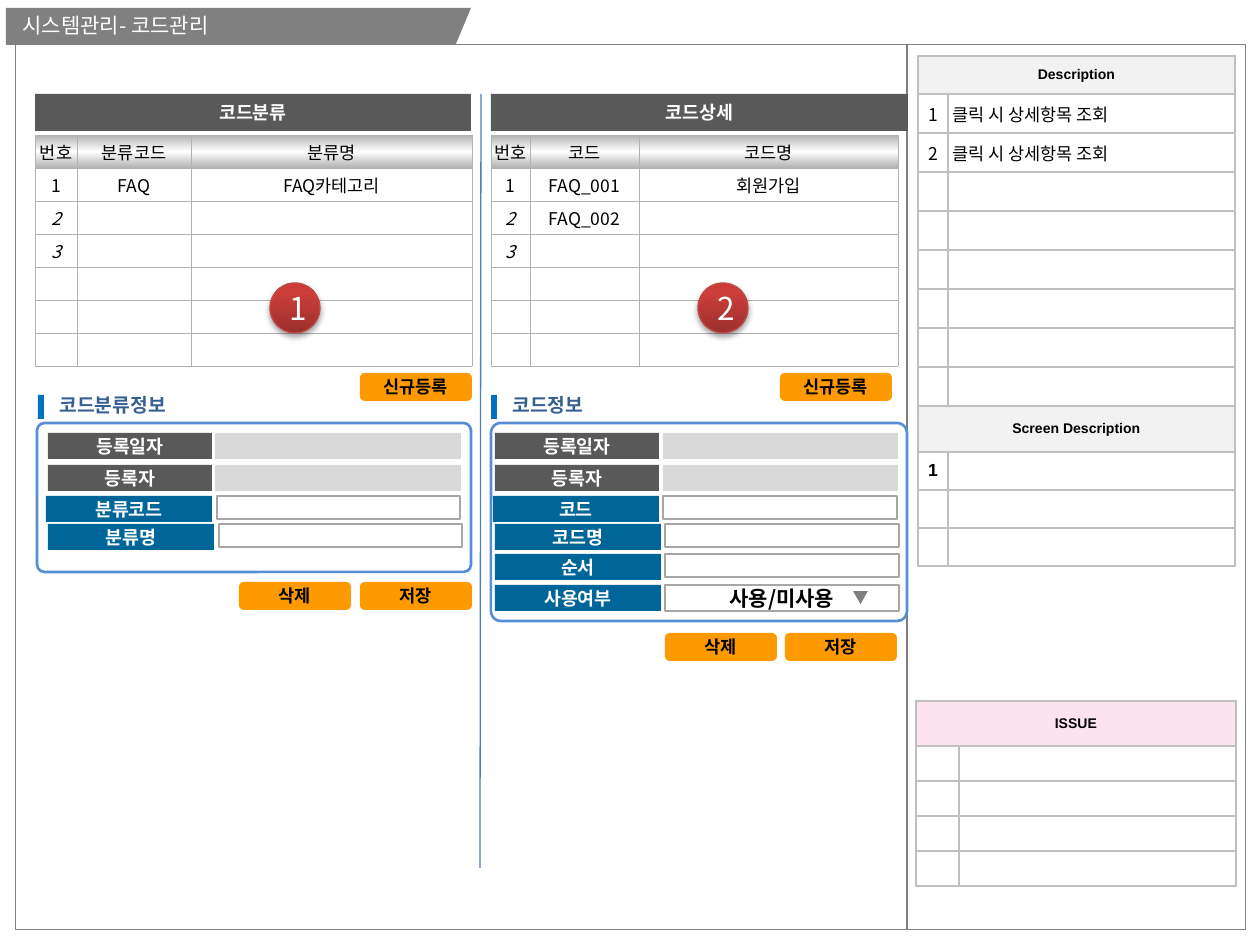
from lxml import etree
from pptx import Presentation
from pptx.dml.color import RGBColor
from pptx.enum.shapes import MSO_CONNECTOR, MSO_SHAPE
from pptx.enum.text import MSO_ANCHOR, MSO_AUTO_SIZE, PP_ALIGN
from pptx.oxml.ns import qn
from pptx.util import Pt

RECT, ROUND = MSO_SHAPE.RECTANGLE, MSO_SHAPE.ROUNDED_RECTANGLE
OVAL, TRIANGLE = MSO_SHAPE.OVAL, MSO_SHAPE.ISOSCELES_TRIANGLE
STRAIGHT, MIDDLE = MSO_CONNECTOR.STRAIGHT, MSO_ANCHOR.MIDDLE
LEFT, CENTER = PP_ALIGN.LEFT, PP_ALIGN.CENTER
PX = 914400 // 126


class Theme:
    korean, latin = "Noto Sans CJK KR", "Arial"
    white, black, gray = "FFFFFF", "000000", "808080"
    dark, readonly, editable = "595959", "D9D9D9", "006699"
    button, marker, heading = "FF9900", "0070C0", "376092"
    outline, divider, field_line = "558ED5", "4B7EBC", "A6A6A6"
    grid, side_grid, side_head, issue_head = "B2B2B2", "C0C0C0", "F2F2F2", "FDE3EF"
    metal = [(0, "B2B2B2"), (50, "FFFFFF"), (100, "B2B2B2")]
    badge, badge_line = [(0, "9C2F2D"), (80, "CB3E3A"), (100, "CE3B37")], "BF4C48"
    small, body, label, section, large, number = 8, 10, 10.5, 11, 12, 18


TITLE = "시스템관리- 코드관리"
PANELS = [
    dict(x=35, title="코드분류", title_width=436, columns=[42, 114, 281],
         rows=[["번호", "분류코드", "분류명"], ["1", "FAQ", "FAQ카테고리"], ["2"], ["3"]],
         section="코드분류정보", section_width=142, marker_x=38,
         card=(37, 423, 434, 149), label_x=46, readonly_x=48,
         field_x=217, readonly_field=(215, 246), field_width=243,
         fields=["분류코드", "분류명"], new_x=360, buttons=(239, 360, 582), badge=("1", 270)),
    dict(x=491, title="코드상세", title_width=417, columns=[39, 109, 259],
         rows=[["번호", "코드", "코드명"], ["1", "FAQ_001", "회원가입"], ["2", "FAQ_002"], ["3"]],
         section="코드정보", section_width=103, marker_x=491,
         card=(491, 423, 416, 198), label_x=493, readonly_x=495,
         field_x=663, readonly_field=(663, 235), field_width=234,
         fields=["코드", "코드명", "순서", "사용여부"], new_x=780,
         buttons=(665, 785, 633), badge=("2", 698)),
]
READONLY_FIELDS = [("등록일자", 433), ("등록자", 465)]
EDITABLE_ROWS = [(496, 0), (524, 2), (554, 2), (585, 2)]
CHOICE_FIELD, CHOICE = "사용여부", "사용/미사용"
DESCRIPTION = [["Description"], ["1", "클릭 시 상세항목 조회"], ["2", "클릭 시 상세항목 조회"],
               [], [], [], [], [], [], ["Screen Description"], ["1"], [], []]
ISSUES = [["ISSUE"], [], [], [], []]


def color(code):
    return RGBColor.from_string(code)


def gradient(stops, angle):
    fill = etree.Element(qn("a:gradFill"), rotWithShape="1")
    holder = etree.SubElement(fill, qn("a:gsLst"))
    for position, code in stops:
        stop = etree.SubElement(holder, qn("a:gs"), pos=str(position * 1000))
        etree.SubElement(stop, qn("a:srgbClr"), val=code)
    etree.SubElement(fill, qn("a:lin"), ang=str(angle * 60000), scaled="0")
    return fill


def paint(target, properties, fill, angle=90):
    if fill is None:
        target.fill.background()
    elif isinstance(fill, str):
        target.fill.solid()
        target.fill.fore_color.rgb = color(fill)
    else:
        target.fill.background()
        old = properties.find(qn("a:noFill"))
        properties.replace(old, gradient(fill, angle))


def write(frame, text, size=Theme.body, ink=Theme.black, font=Theme.korean,
          bold=False, italic=False, align=CENTER):
    para = frame.paragraphs[0]
    para.alignment = align
    if not text:
        etree.SubElement(para._p, qn("a:endParaRPr"), sz=str(size * 100))
        return
    span = para.add_run()
    span.text = text
    span.font.size, span.font.name = Pt(size), font
    span.font.bold, span.font.italic = bold, italic
    span.font.color.rgb = color(ink)
    etree.SubElement(span.font._element, qn("a:ea"), typeface=font)


def add_box(page, x, y, width, height, text="", kind=RECT, fill=None, line=None,
            weight=1, angle=90, **style):
    box = page.shapes.add_shape(kind, x * PX, y * PX, width * PX, height * PX)
    box.shadow.inherit = False
    paint(box, box._element.spPr, fill, angle)
    if line:
        box.line.color.rgb = color(line)
        box.line.width = Pt(weight)
    else:
        box.line.fill.background()
    if text:
        frame = box.text_frame
        frame.margin_left = frame.margin_right = frame.margin_top = frame.margin_bottom = 0
        frame.vertical_anchor = MIDDLE
        write(frame, text, **style)
    return box


def add_line(page, x1, y1, x2, y2, ink):
    line = page.shapes.add_connector(STRAIGHT, x1 * PX, y1 * PX, x2 * PX, y2 * PX)
    line.line.color.rgb = color(ink)
    line.line.width = Pt(0.75)
    etree.SubElement(line._element.spPr, qn("a:effectLst"))


def add_borders(properties, ink, weight):
    for index, side in enumerate("LRTB"):
        border = etree.Element(qn(f"a:ln{side}"), w=str(int(Pt(weight))))
        fill = etree.SubElement(border, qn("a:solidFill"))
        etree.SubElement(fill, qn("a:srgbClr"), val=ink)
        properties.insert(index, border)


def add_grid(page, x, y, columns, heights, rows, style_cell, ink, weight):
    table = page.shapes.add_table(len(heights), len(columns), x * PX, y * PX,
                                  sum(columns) * PX, sum(heights) * PX).table
    table.first_row = table.horz_banding = False
    for column, width in zip(table.columns, columns):
        column.width = width * PX
    for r, height in enumerate(heights):
        table.rows[r].height = height * PX
        values = rows[r] if r < len(rows) else []
        for c in range(len(columns)):
            cell = table.cell(r, c)
            style = style_cell(r, c, values)
            cell.margin_left = style.pop("indent", 0) * PX
            cell.margin_right = cell.margin_top = cell.margin_bottom = 0
            cell.vertical_anchor = MIDDLE
            properties = cell._tc.get_or_add_tcPr()
            paint(cell, properties, style.pop("fill", None))
            add_borders(properties, ink, weight)
            write(cell.text_frame, values[c] if c < len(values) else "", **style)
        if len(values) == 1 and len(columns) == 2 and not values[0].isdigit():
            table.cell(r, 0).merge(table.cell(r, 1))


def code_style(r, c, values):
    if r == 0:
        return dict(fill=Theme.metal)
    return dict(italic=c == 0 and r > 1)


def side_style(head):
    def style(r, c, values):
        if len(values) == 1 and not values[0].isdigit():
            return dict(fill=head, size=Theme.small, font=Theme.latin, bold=True)
        if c == 1:
            return dict(align=LEFT, indent=5)
        return dict(bold=len(values) == 1, font=Theme.latin if len(values) == 1 else Theme.korean)
    return style


def add_button(page, x, y, text):
    add_box(page, x, y, 112, 28, text, kind=ROUND, fill=Theme.button, bold=True)


def add_label(page, x, y, width, text, fill):
    add_box(page, x, y, width, 26, text, fill=fill, size=Theme.label, ink=Theme.white, bold=True)


def add_fields(page, panel):
    for name, y in READONLY_FIELDS:
        add_label(page, panel["readonly_x"], y, 164, name, Theme.dark)
        x, width = panel["readonly_field"]
        add_box(page, x, y, width, 26, fill=Theme.readonly)
    for name, (y, nudge) in zip(panel["fields"], EDITABLE_ROWS):
        choice = name == CHOICE_FIELD
        add_box(page, panel["field_x"] + nudge, y, panel["field_width"], 26 if choice else 23,
                CHOICE if choice else "", fill=Theme.white, line=Theme.field_line,
                size=Theme.large, bold=True)
        add_label(page, panel["label_x"] + nudge, y, 166, name, Theme.editable)
        if choice:
            arrow = add_box(page, 853, y + 6, 15, 13, kind=TRIANGLE, fill=Theme.gray)
            arrow.rotation = 180


def add_panel(page, panel):
    add_box(page, panel["x"], 94, panel["title_width"], 37, panel["title"], fill=Theme.dark,
            size=Theme.label, ink=Theme.white, bold=True)
    add_grid(page, panel["x"], 135, panel["columns"], [33] * 7, panel["rows"],
             code_style, Theme.grid, 0.25)
    add_box(page, panel["marker_x"], 395, 6, 24, fill=Theme.marker)
    heading = page.shapes.add_textbox((panel["marker_x"] + 9) * PX, 387 * PX,
                                      panel["section_width"] * PX, 36 * PX)
    heading.text_frame.word_wrap = False
    write(heading.text_frame, panel["section"], size=Theme.section, ink=Theme.heading,
          bold=True, align=LEFT)
    card = add_box(page, *panel["card"], kind=ROUND, fill=Theme.white, line=Theme.outline, weight=1.5)
    card.adjustments[0] = 0.05
    add_fields(page, panel)
    add_button(page, panel["new_x"], 373, "신규등록")
    delete_x, save_x, y = panel["buttons"]
    add_button(page, delete_x, y, "삭제")
    add_button(page, save_x, y, "저장")


def add_badge(page, text, x):
    badge = add_box(page, x, 283, 50, 50, text, kind=OVAL, fill=Theme.badge, angle=270,
                    line=Theme.badge_line, weight=0.75, size=Theme.number, ink=Theme.white)
    badge.text_frame.margin_left = 6 * PX
    effects = badge._element.spPr.find(qn("a:effectLst"))
    shadow = etree.SubElement(effects, qn("a:outerShdw"), blurRad="40000", dist="23000",
                              dir="5400000", rotWithShape="0")
    tint = etree.SubElement(shadow, qn("a:srgbClr"), val=Theme.black)
    etree.SubElement(tint, qn("a:alpha"), val="35000")


def add_title(page):
    outline = page.shapes.build_freeform(6, 8, scale=PX)
    outline.add_line_segments([(471, 8), (456, 44), (6, 45)], close=True)
    tab = outline.convert_to_shape()
    tab.shadow.inherit = False
    paint(tab, tab._element.spPr, Theme.gray)
    tab.line.fill.background()
    title = page.shapes.title
    title.left, title.top, title.width, title.height = 10 * PX, 6 * PX, 377 * PX, 38 * PX
    title.text_frame.auto_size = MSO_AUTO_SIZE.NONE
    title.text_frame.vertical_anchor = MIDDLE
    write(title.text_frame, TITLE, size=Theme.large, ink=Theme.white, align=LEFT)
    page.shapes._spTree.append(title._element)


def main():
    deck = Presentation()
    deck.slide_width, deck.slide_height = 1260 * PX, 945 * PX
    page = deck.slides.add_slide(deck.slide_layouts[5])
    add_box(page, 15, 44, 1230, 885, line=Theme.gray, weight=0.25)
    add_title(page)
    add_line(page, 907, 45, 907, 929, Theme.gray)
    add_grid(page, 918, 56, [30, 287], [38] + [39] * 8 + [46] + [38] * 3, DESCRIPTION,
             side_style(Theme.side_head), Theme.side_grid, 1)
    add_grid(page, 916, 701, [43, 277], [45] + [35] * 4, ISSUES,
             side_style(Theme.issue_head), Theme.side_grid, 1)
    for panel in PANELS:
        add_panel(page, panel)
    add_line(page, 481, 94, 480, 868, Theme.divider)
    for panel in PANELS:
        add_badge(page, *panel["badge"])
    deck.save("out.pptx")


if __name__ == "__main__":
    main()
